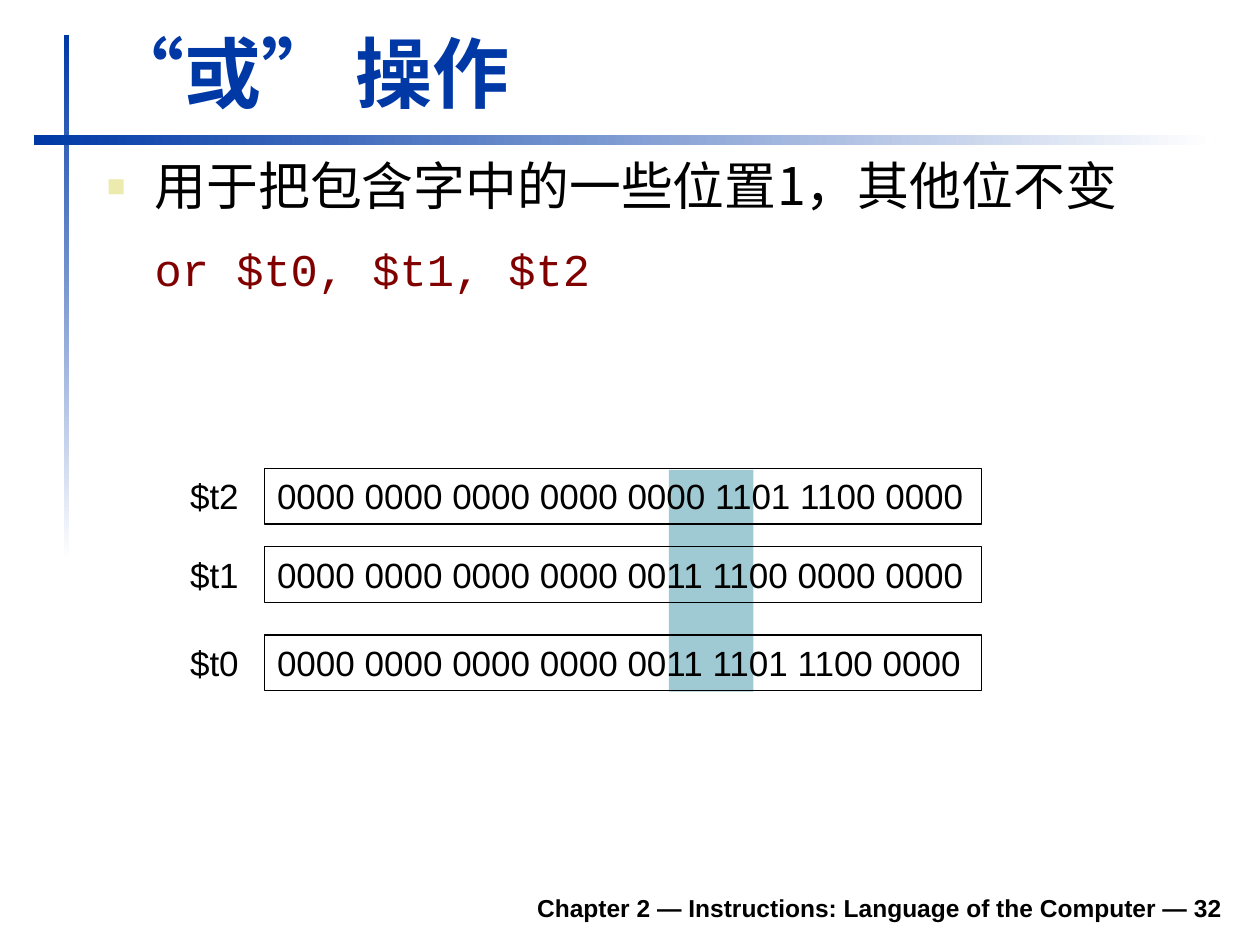
import pptx
import pptx.dml.color
import pptx.enum.shapes
import pptx.enum.text
import pptx.oxml
import pptx.oxml.ns
import pptx.util
from lxml import etree

RGB = pptx.dml.color.RGBColor
Inches = pptx.util.Inches
Pt = pptx.util.Pt
ALIGN = pptx.enum.text.PP_ALIGN
ANCHOR = pptx.enum.text.MSO_ANCHOR
AUTO_SIZE = pptx.enum.text.MSO_AUTO_SIZE
qn = pptx.oxml.ns.qn

BLUE = RGB(0x00, 0x39, 0xA6)
WHITE = RGB(0xFF, 0xFF, 0xFF)
BLACK = RGB(0x00, 0x00, 0x00)
TEAL = RGB(0x9F, 0xCA, 0xD3)
CODE_RED = RGB(0x80, 0x00, 0x00)
BULLET_COLOR = RGB(0xEC, 0xEA, 0xAC)

CJK = "Noto Sans CJK SC"

# Register diagram grid, in inches
LABEL_LEFT, LABEL_WIDTH = 1.41, 0.65
BITS_LEFT, BITS_WIDTH = 2.1, 5.69
ROW_HEIGHT = 0.44
REGISTERS = [
    (3.72, "$t2", "0000 0000 0000 0000 0000 1101 1100 0000"),
    (4.34, "$t1", "0000 0000 0000 0000 0011 1100 0000 0000"),
    (5.04, "$t0", "0000 0000 0000 0000 0011 1101 1100 0000"),
]


def write(paragraph, text, size=20, font="Arial", color=BLACK, bold=False,
          align=ALIGN.LEFT):
    """Put formatted text in a paragraph."""
    run = paragraph.add_run()
    run.text = text
    paragraph.alignment = align
    run.font.size = Pt(size)
    run.font.name = font
    run.font.bold = bold
    run.font.color.rgb = color
    # East Asian glyphs, full-width quotes included
    properties = run.font._element
    properties.set("lang", "zh-CN")
    latin = properties.find(qn("a:latin"))
    east_asian = etree.Element(qn("a:ea"), typeface=CJK)
    latin.addnext(east_asian)


def indent(paragraph, left, first=0):
    properties = paragraph._p.get_or_add_pPr()
    properties.set("marL", str(Inches(left)))
    properties.set("indent", str(Inches(first)))


def add_bullet(paragraph, char, color, percent):
    properties = paragraph._p.get_or_add_pPr()
    bullet_color = etree.SubElement(properties, qn("a:buClr"))
    etree.SubElement(bullet_color, qn("a:srgbClr"), val=str(color))
    etree.SubElement(properties, qn("a:buSzPct"), val=str(percent * 1000))
    etree.SubElement(properties, qn("a:buFont"), typeface="Arial")
    etree.SubElement(properties, qn("a:buChar"), char=char)


def add_rectangle(slide, left, top, width, height):
    rectangle = slide.shapes.add_shape(
        pptx.enum.shapes.MSO_SHAPE.RECTANGLE,
        Inches(left), Inches(top), Inches(width), Inches(height))
    rectangle.shadow.inherit = False
    rectangle.line.fill.background()
    return rectangle


def add_text_box(slide, left, top, width, height):
    box = slide.shapes.add_textbox(
        Inches(left), Inches(top), Inches(width), Inches(height))
    box.text_frame.word_wrap = True
    return box.text_frame


def add_fading_bar(slide, left, top, width, height, angle):
    bar = add_rectangle(slide, left, top, width, height)
    bar.fill.gradient()
    bar.fill.gradient_angle = angle
    for stop, color in zip(bar.fill.gradient_stops, (BLUE, WHITE)):
        stop.color.rgb = color


def add_title(slide, text):
    title = slide.shapes.title
    title.left, title.top = Inches(0.75), Inches(0.16)
    title.width, title.height = Inches(9.03), Inches(0.83)
    title.text_frame.vertical_anchor = ANCHOR.BOTTOM
    title.text_frame.auto_size = AUTO_SIZE.SHAPE_TO_FIT_TEXT
    write(title.text_frame.paragraphs[0], text, size=44, color=BLUE, bold=True)


def add_explanation(slide):
    frame = add_text_box(slide, 0.75, 1.23, 9.04, 1.73)
    purpose = frame.paragraphs[0]
    add_bullet(purpose, "■", BULLET_COLOR, 60)
    indent(purpose, 0.38, -0.38)
    write(purpose, "用于把包含字中的一些位置1，其他位不变", size=29.6, font=CJK)

    instruction = frame.add_paragraph()
    indent(instruction, 0.38)
    instruction.space_before = Pt(17.5)
    write(instruction, "or $t0, $t1, $t2", size=25.9, font="Courier New",
          color=CODE_RED)

    for paragraph in frame.paragraphs:
        paragraph.line_spacing = 0.9


def add_register(slide, top, name, bits):
    value = add_rectangle(slide, BITS_LEFT, top, BITS_WIDTH, ROW_HEIGHT)
    value.fill.background()
    value.line.color.rgb = BLACK
    value.line.width = Pt(0.75)
    label = add_text_box(slide, LABEL_LEFT, top, LABEL_WIDTH, ROW_HEIGHT)
    for frame, text in ((value.text_frame, bits), (label, name)):
        # Fixed box sizes, each wide enough for its text on one line
        frame.word_wrap = True
        frame.vertical_anchor = ANCHOR.TOP
        frame.auto_size = AUTO_SIZE.NONE
        write(frame.paragraphs[0], text)


def add_footer(slide, text):
    frame = add_text_box(slide, 1.85, 6.98, 7.95, 0.39)
    frame.vertical_anchor = ANCHOR.BOTTOM
    write(frame.paragraphs[0], text, size=14, bold=True, align=ALIGN.RIGHT)


def main():
    deck = pptx.Presentation()
    deck.slide_width, deck.slide_height = Inches(10), Inches(7.5)
    slide = deck.slides.add_slide(deck.slide_layouts.get_by_name("Title Only"))

    # Crossing bars
    add_fading_bar(slide, 0.51, 0.28, 0.04, 4.17, angle=270)
    add_fading_bar(slide, 0.27, 1.07, 9.37, 0.08, angle=0)

    # Heading and explanation
    add_title(slide, "“或” 操作")
    add_explanation(slide)

    # Highlighted bits lie behind the registers
    highlight = add_rectangle(slide, 5.31, 3.73, 0.67, 1.76)
    highlight.fill.solid()
    highlight.fill.fore_color.rgb = TEAL
    for top, name, bits in REGISTERS:
        add_register(slide, top, name, bits)

    add_footer(slide, "Chapter 2 — Instructions: Language of the Computer — 32")
    deck.save("out.pptx")


if __name__ == "__main__":
    main()
